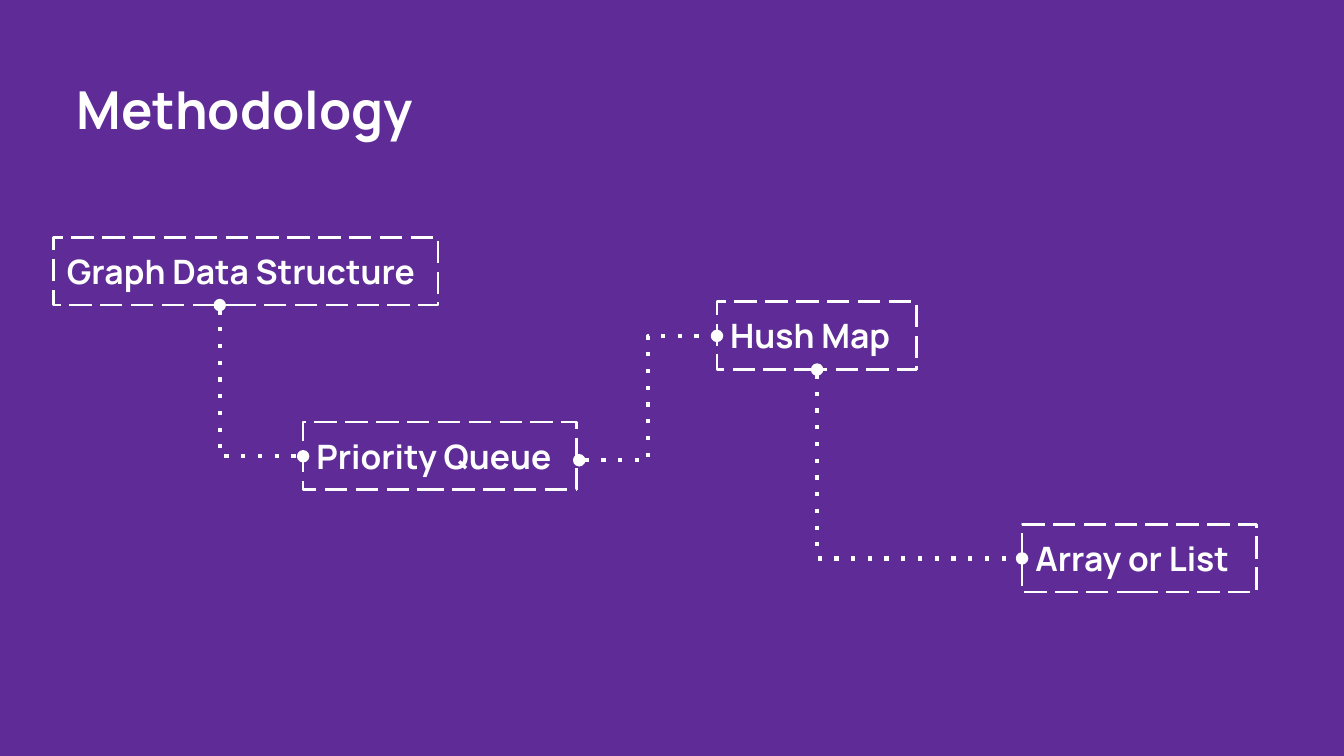
from lxml import etree
from pptx import Presentation
from pptx import util as u
from pptx.dml.color import RGBColor
from pptx.enum import dml, shapes, text
from pptx.oxml import ns

PX = 4572
WHITE = RGBColor(0xFF, 0xFF, 0xFF)
PURPLE = RGBColor(0x5E, 0x2B, 0x97)
FONT = "Manrope"
INSET = 20
STEP_H = 101
STEPS = [
    ("Graph Data Structure", 80, 353, 572),
    ("Priority Queue", 451, 628, 407),
    ("Hush Map", 1067, 449, 297),
    ("Array or List", 1521, 780, 349),
]
LINKS = [
    ((327, 454), (451, 679), 0),
    ((862, 685), (1067, 500), 50),
    ((1216, 550), (1521, 831), 0),
]


def px(*lengths):
    """Turn px lengths into EMU."""
    return [u.Emu(n * PX) for n in lengths]


def write(s, words, size):
    """Fill a shape with one bold, left-aligned white paragraph."""
    tf = s.text_frame
    tf.text = words
    tf.word_wrap = True
    tf.auto_size = text.MSO_AUTO_SIZE.NONE
    tf.vertical_anchor = text.MSO_ANCHOR.TOP
    tf.margin_left, tf.margin_top, tf.margin_right, tf.margin_bottom = px(*[INSET] * 4)
    p = tf.paragraphs[0]
    p.alignment = text.PP_ALIGN.LEFT
    p.font.name = FONT
    p.font.size = u.Pt(size)
    p.font.bold = True
    p.font.color.rgb = WHITE


def set_line(s, width, dash):
    """Give a shape or connector a dashed white line."""
    s.line.color.rgb = WHITE
    s.line.width = u.Pt(width)
    s.line.dash_style = dash


def add_title(slide, words, x, y, w, h):
    """Place the slide title in the given box."""
    s = slide.shapes.title
    s.left, s.top, s.width, s.height = px(x, y, w, h)
    write(s, words, 28)


def add_step(slide, words, x, y, w, h):
    """Draw one dashed step box with its label."""
    s = slide.shapes.add_shape(shapes.MSO_SHAPE.RECTANGLE, *px(x, y, w, h))
    s.shadow.inherit = False
    s.fill.background()
    set_line(s, 1.5, dml.MSO_LINE.LONG_DASH)
    write(s, words, 18)


def add_link(slide, start, end, bend):
    """Draw a dotted elbow with oval ends, bending at a percentage of its width."""
    s = slide.shapes.add_connector(shapes.MSO_CONNECTOR.ELBOW, *px(*start, *end))
    set_line(s, 2.25, dml.MSO_LINE.ROUND_DOT)
    sp_pr = s._element.spPr
    ln = sp_pr.find(ns.qn("a:ln"))
    ln.find(ns.qn("a:prstDash")).set("val", "dot")
    for tag in ("a:headEnd", "a:tailEnd"):
        etree.SubElement(ln, ns.qn(tag), type="oval")
    etree.SubElement(sp_pr, ns.qn("a:effectLst"))
    guides = sp_pr.find(ns.qn("a:prstGeom")).get_or_add_avLst()
    etree.SubElement(guides, ns.qn("a:gd"), name="adj1", fmla=f"val {bend * 1000}")


def add_flow(slide, x, y):
    """Draw the step boxes and their links from the given corner."""
    for words, left, top, width in STEPS:
        add_step(slide, words, x + left, y + top, width, STEP_H)
    for (x1, y1), (x2, y2), bend in LINKS:
        add_link(slide, (x + x1, y + y1), (x + x2, y + y2), bend)


def main():
    """Build and save the methodology slide."""
    prs = Presentation()
    prs.slide_width, prs.slide_height = px(2000, 1125)
    slide = prs.slides.add_slide(prs.slide_layouts[5])
    slide.background.fill.solid()
    slide.background.fill.fore_color.rgb = PURPLE
    add_title(slide, "Methodology", 94, 95, 1344, 134)
    add_flow(slide, 0, 0)
    prs.save("out.pptx")


if __name__ == "__main__":
    main()
